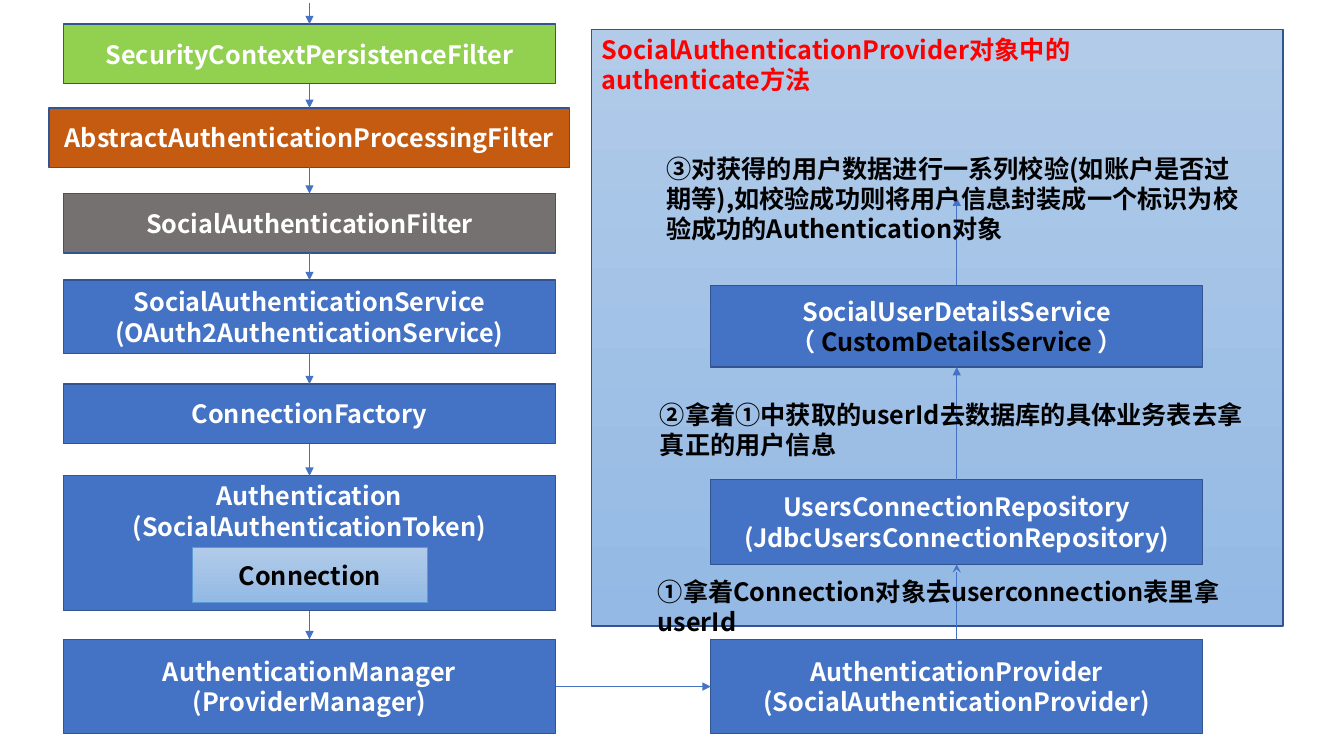
from itertools import pairwise

from lxml import etree
from pptx import Presentation
from pptx.dml import color
from pptx.enum import shapes, text
from pptx.oxml import ns
from pptx.util import Cm, Pt

FONT = "Noto Sans CJK SC"
COLOURS = {
    "blue": "4472C4", "edge": "325491", "green": "92D050", "orange": "C55A11",
    "grey": "767171", "white": "FFFFFF", "black": "000000", "red": "FF0000",
    "pale_top": "B1CBE9", "pale_bottom": "93B9E4", "pale_edge": "5B9BD5",
}
COLUMN_WIDTH = 12.4
LEFT, RIGHT = 1.6, 17.91
TOP, BOTTOM, SIDE_LEFT, SIDE_RIGHT = 0, 2, 1, 3

FILTER_CHAIN = [
    (LEFT, 0.61, COLUMN_WIDTH, 1.5, "green", ["SecurityContextPersistenceFilter"]),
    (1.24, 2.72, 13.12, 1.5, "orange", ["AbstractAuthenticationProcessingFilter"]),
    (LEFT, 4.88, COLUMN_WIDTH, 1.5, "grey", ["SocialAuthenticationFilter"]),
    (LEFT, 7.06, COLUMN_WIDTH, 1.85, "blue",
     ["SocialAuthenticationService", "(OAuth2AuthenticationService)"]),
    (LEFT, 9.68, COLUMN_WIDTH, 1.5, "blue", ["ConnectionFactory"]),
    (LEFT, 11.99, COLUMN_WIDTH, 3.4, "blue",
     ["Authentication", "(SocialAuthenticationToken)"]),
    (LEFT, 16.11, COLUMN_WIDTH, 2.38, "blue",
     ["AuthenticationManager", "(ProviderManager)"]),
]
PROVIDER_STEPS = [
    (16.11, 2.38, ["AuthenticationProvider", "(SocialAuthenticationProvider)"]),
    (12.09, 2.13, ["UsersConnectionRepository", "(JdbcUsersConnectionRepository)"]),
    (7.19, 2.06, ["SocialUserDetailsService",
                  [("（ ", "white"), ("CustomDetailsService ", "black"), ("）", "white")]]),
]
NOTES = [
    (16.33, 14.4, 15.98, 1.02, "①拿着Connection对象去userconnection表里拿userId"),
    (16.38, 9.93, 15.57, 1.8, "②拿着①中获取的userId去数据库的具体业务表去拿真正的用户信息"),
    (16.54, 3.73, 15.27, 2.57,
     "③对获得的用户数据进行一系列校验(如账户是否过期等),"
     "如校验成功则将用户信息封装成一个标识为校验成功的Authentication对象"),
]


def rgb(name):
    return color.RGBColor.from_string(COLOURS[name])


def write(frame, lines, colour="white", align=text.PP_ALIGN.CENTER,
          anchor=text.MSO_ANCHOR.MIDDLE):
    frame.word_wrap = True
    frame.vertical_anchor = anchor
    for index, line in enumerate(lines):
        paragraph = frame.add_paragraph() if index else frame.paragraphs[0]
        paragraph.alignment = align
        paragraph.line_spacing = 1.0
        paragraph.space_before = Pt(0)
        for words, tint in [(line, colour)] if isinstance(line, str) else line:
            run = paragraph.add_run()
            run.text = words
            run.font.size = Pt(18)
            run.font.bold = True
            run.font.name = FONT
            run.font.color.rgb = rgb(tint)
            etree.SubElement(run.font._element, ns.qn("a:ea"), typeface=FONT)


def outline(shape, colour="edge", width=1):
    shape.line.color.rgb = rgb(colour)
    shape.line.width = Pt(width)


def shade(shape):
    shape.fill.gradient()
    shape.fill.gradient_angle = 270
    for stop, name in zip(shape.fill.gradient_stops, ("pale_top", "pale_bottom")):
        stop.color.rgb = rgb(name)


def add_box(slide, left, top, width, height, fill, lines, **style):
    box = slide.shapes.add_shape(shapes.MSO_SHAPE.RECTANGLE,
                                 Cm(left), Cm(top), Cm(width), Cm(height))
    box.shadow.inherit = False
    outline(box)
    if fill == "pale":
        shade(box)
    else:
        box.fill.solid()
        box.fill.fore_color.rgb = rgb(fill)
    write(box.text_frame, lines, **style)
    return box


def add_arrow(slide, start=(0, 0), end=(0, 0), source=None, target=None, head="triangle"):
    arrow = slide.shapes.add_connector(
        shapes.MSO_CONNECTOR.STRAIGHT, *(Cm(value) for value in (*start, *end)))
    if source:
        arrow.begin_connect(*source)
    if target:
        arrow.end_connect(*target)
    outline(arrow, "blue", 0.5)
    etree.SubElement(arrow.line._get_or_add_ln(), ns.qn("a:tailEnd"), type=head)
    etree.SubElement(arrow._element.spPr, ns.qn("a:effectLst"))


def add_note(slide, left, top, width, height, words):
    note = slide.shapes.add_textbox(Cm(left), Cm(top), Cm(width), Cm(height))
    write(note.text_frame, [words], colour="black",
          align=text.PP_ALIGN.LEFT, anchor=text.MSO_ANCHOR.TOP)
    note.text_frame.auto_size = text.MSO_AUTO_SIZE.SHAPE_TO_FIT_TEXT


def add_provider_panel(slide):
    panel = slide.shapes.title
    panel.left, panel.top, panel.width, panel.height = Cm(14.91), Cm(0.74), Cm(17.42), Cm(15.04)
    shade(panel)
    outline(panel)
    panel.text_frame.auto_size = text.MSO_AUTO_SIZE.NONE
    write(panel.text_frame, ["SocialAuthenticationProvider对象中的", "authenticate方法"],
          colour="red", align=text.PP_ALIGN.LEFT, anchor=text.MSO_ANCHOR.TOP)


def add_filter_chain(slide):
    chain = []
    for left, top, width, height, fill, lines in FILTER_CHAIN:
        anchor = text.MSO_ANCHOR.TOP if lines[0] == "Authentication" else text.MSO_ANCHOR.MIDDLE
        chain.append(add_box(slide, left, top, width, height, fill, lines, anchor=anchor))
    connection = add_box(slide, 4.85, 13.79, 5.92, 1.4, "pale", ["Connection"], colour="black")
    outline(connection, "pale_edge", 0.5)
    add_arrow(slide, start=(LEFT + COLUMN_WIDTH / 2, 0.08), target=(chain[0], TOP))
    for upper, lower in pairwise(chain):
        add_arrow(slide, source=(upper, BOTTOM), target=(lower, TOP))
    return chain[-1]


def add_provider_steps(slide):
    steps = [add_box(slide, RIGHT, top, COLUMN_WIDTH, height, "blue", lines)
             for top, height, lines in PROVIDER_STEPS]
    for (lower, upper), head in zip(pairwise(steps), ("stealth", "triangle")):
        add_arrow(slide, source=(lower, TOP), target=(upper, BOTTOM), head=head)
    add_arrow(slide, end=(RIGHT + COLUMN_WIDTH / 2, 4.98), source=(steps[-1], TOP))
    return steps[0]


def main():
    deck = Presentation()
    deck.slide_width, deck.slide_height = Cm(33.87), Cm(19.05)
    slide = deck.slides.add_slide(deck.slide_layouts[5])
    add_provider_panel(slide)
    manager = add_filter_chain(slide)
    provider = add_provider_steps(slide)
    add_arrow(slide, source=(manager, SIDE_RIGHT), target=(provider, SIDE_LEFT))
    for note in NOTES:
        add_note(slide, *note)
    deck.save("out.pptx")


if __name__ == "__main__":
    main()
